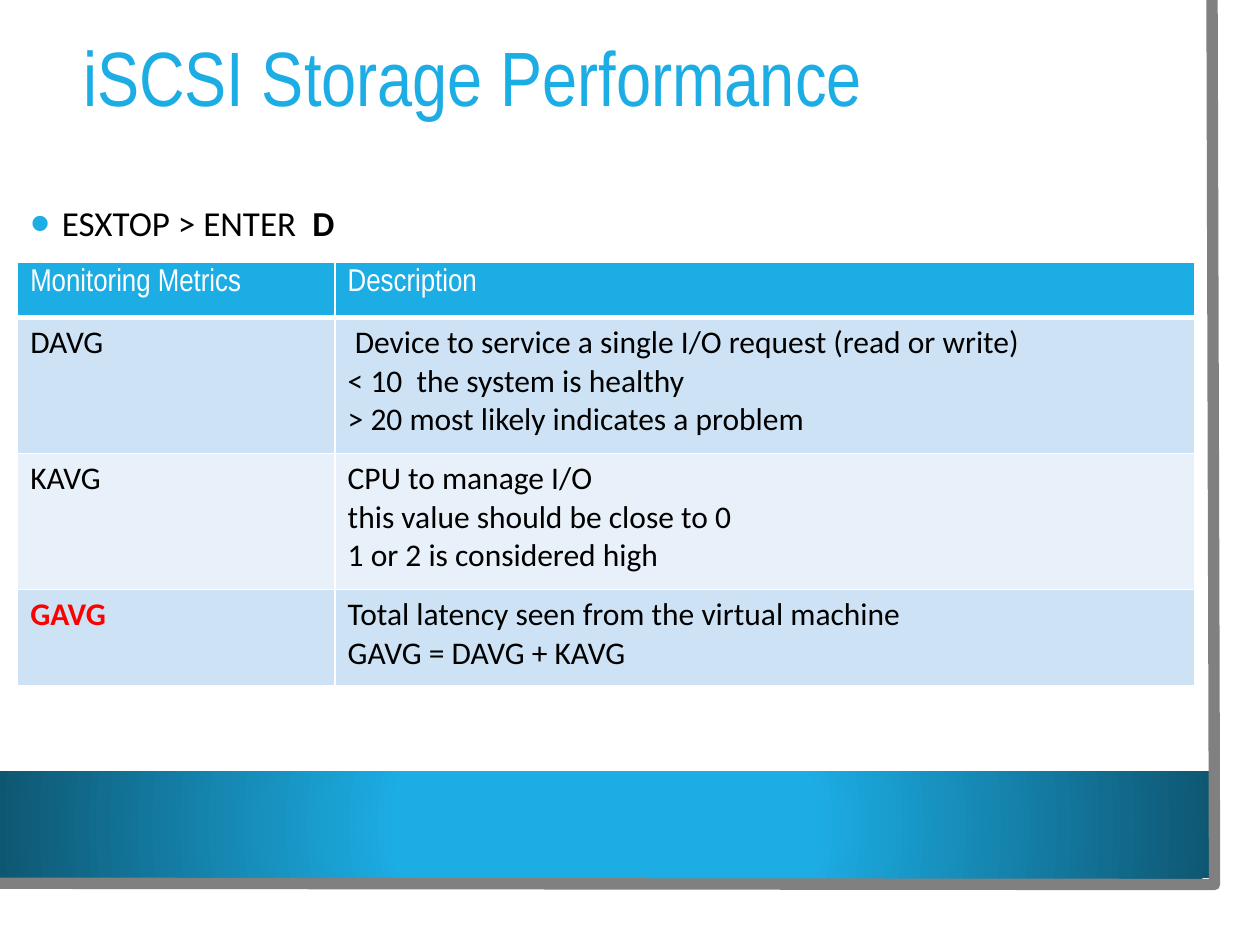
from lxml.etree import SubElement
from pptx import Presentation
from pptx.dml.color import RGBColor
from pptx.enum.shapes import MSO_SHAPE
from pptx.enum.text import MSO_ANCHOR, MSO_AUTO_SIZE
from pptx.oxml import parse_xml
from pptx.oxml.ns import qn
from pptx.util import Inches, Pt

BLUE, DEEP, GREY, WHITE, BLACK, RED = (
    "1CADE4", "0E5772", "808080", "FFFFFF", "000000", "FF0000")
BANDS = ("CDE3F5", "E8F1FA")
HEAD, TEXT = "Arial Narrow", "Calibri"
NS = 'xmlns:a="http://schemas.openxmlformats.org/drawingml/2006/main"'

TITLE = "iSCSI Storage Performance"
BULLET = (("ESXTOP > ENTER  ", False), ("D", True))
COLS = (2.52, 6.82)
HEADER = ("Monitoring Metrics", "Description")
ROWS = [
    ("DAVG", [" Device to service a single I/O request (read or write)",
              "< 10  the system is healthy",
              "> 20 most likely indicates a problem"], 1.08),
    ("KAVG", ["CPU to manage I/O",
              "this value should be close to 0",
              "1 or 2 is considered high"], 1.08),
    ("GAVG", ["Total latency seen from the virtual machine",
              "GAVG = DAVG + KAVG"], 0.76),
]
KEY = "GAVG"


def rgb(code):
    return RGBColor.from_string(code)


def write(para, text, size=18, font=TEXT, color=BLACK, bold=False):
    run = para.add_run()
    run.text = text
    run.font.size = Pt(size)
    run.font.name = font
    run.font.bold = bold
    run.font.color.rgb = rgb(color)


def place(shape, *box):
    shape.left, shape.top, shape.width, shape.height = map(Inches, box)


def panel(shapes, *box):
    shape = shapes.add_shape(MSO_SHAPE.RECTANGLE, *map(Inches, box))
    shape.shadow.inherit = False
    shape.line.fill.background()
    shape.fill.solid()
    shape.fill.fore_color.rgb = rgb(WHITE)
    return shape


def glow(shape):
    old = shape.element.spPr.find(qn("a:solidFill"))
    stops = "".join(
        f'<a:gs pos="{pos}000"><a:srgbClr val="{code}"/></a:gs>'
        for pos, code in ((34, BLUE), (100, DEEP)))
    old.getparent().replace(old, parse_xml(
        f'<a:gradFill {NS} rotWithShape="1"><a:gsLst>{stops}</a:gsLst>'
        '<a:path path="circle"><a:fillToRect l="50000" t="50000" r="50000" '
        'b="50000"/></a:path></a:gradFill>'))


def frame(shapes):
    pen = shapes.build_freeform(Inches(9.62), 0)
    pen.add_line_segments(
        [(Inches(9.64), Inches(7.02)), (Inches(-0.02), Inches(7.01))],
        close=False)
    edge = pen.convert_to_shape()
    edge.shadow.inherit = False
    edge.fill.background()
    edge.line.color.rgb = rgb(GREY)
    edge.line.width = Pt(6.5)
    return edge


def backdrop(shapes):
    sheet = panel(shapes, 0, 0, 9.83, 7.27)
    band = panel(shapes, 0, 6.12, 9.6, 0.85)
    glow(band)
    for spot, item in enumerate((sheet, band, frame(shapes)), 2):
        sheet.element.getparent().insert(spot, item.element)


def bullet(para):
    props = para._p.get_or_add_pPr()
    props.set("marL", str(Inches(0.25)))
    props.set("indent", str(Inches(-0.25)))
    tint = SubElement(props, qn("a:buClr"))
    SubElement(tint, qn("a:srgbClr"), val=BLUE)
    SubElement(props, qn("a:buSzPct"), val="160000")
    SubElement(props, qn("a:buFont"), typeface="Arial")
    SubElement(props, qn("a:buChar"), char="•")


def fill(cell, lines, back, top=1, base=1, **look):
    props = cell._tc.get_or_add_tcPr()
    for side, width in zip("LRTB", (1, 1, top, base)):
        line = SubElement(props, qn(f"a:ln{side}"), w=str(Pt(width)))
        paint = SubElement(line, qn("a:solidFill"))
        SubElement(paint, qn("a:srgbClr"), val=WHITE)
    cell.fill.solid()
    cell.fill.fore_color.rgb = rgb(back)
    for spot, line in enumerate(lines):
        box = cell.text_frame
        write(box.add_paragraph() if spot else box.paragraphs[0], line, **look)


def metrics(shapes):
    highs = [0.44] + [row[2] for row in ROWS]
    grid = shapes.add_table(len(highs), len(COLS), *map(
        Inches, (0.14, 2.08, sum(COLS), sum(highs)))).table
    for col, wide in zip(grid.columns, COLS):
        col.width = Inches(wide)
    for row, high in zip(grid.rows, highs):
        row.height = Inches(high)
    for col, text in enumerate(HEADER):
        fill(grid.cell(0, col), [text], BLUE, base=3, font=HEAD, color=WHITE)
    for num, (name, lines, _) in enumerate(ROWS, 1):
        back, top = BANDS[(num - 1) % 2], 3 if num == 1 else 1
        key = name == KEY
        fill(grid.cell(num, 0), [name], back, top,
             color=RED if key else BLACK, bold=key)
        fill(grid.cell(num, 1), lines, back, top)


def main():
    deck = Presentation()
    deck.slide_width, deck.slide_height = Inches(10), Inches(7.5)
    slide = deck.slides.add_slide(deck.slide_layouts[1])
    shapes = slide.shapes
    title, body = shapes.title, slide.placeholders[1]
    place(title, 0.56, 0.02, 8.53, 1.26)
    place(body, 0.14, 1.15, 8.53, 1.17)
    for item in (title, body):
        item.text_frame.word_wrap = True
        item.text_frame.auto_size = MSO_AUTO_SIZE.NONE
        item.text_frame.vertical_anchor = MSO_ANCHOR.MIDDLE
    para = title.text_frame.paragraphs[0]
    para.alignment = 1
    para.line_spacing = 0.9
    write(para, TITLE, size=44, font=HEAD, color=BLUE)
    para = body.text_frame.paragraphs[0]
    bullet(para)
    para.line_spacing = 1.2
    para.space_before = Pt(0)
    for text, bold in BULLET:
        write(para, text, size=20, bold=bold)
    backdrop(shapes)
    metrics(shapes)
    deck.save("out.pptx")


if __name__ == "__main__":
    main()
